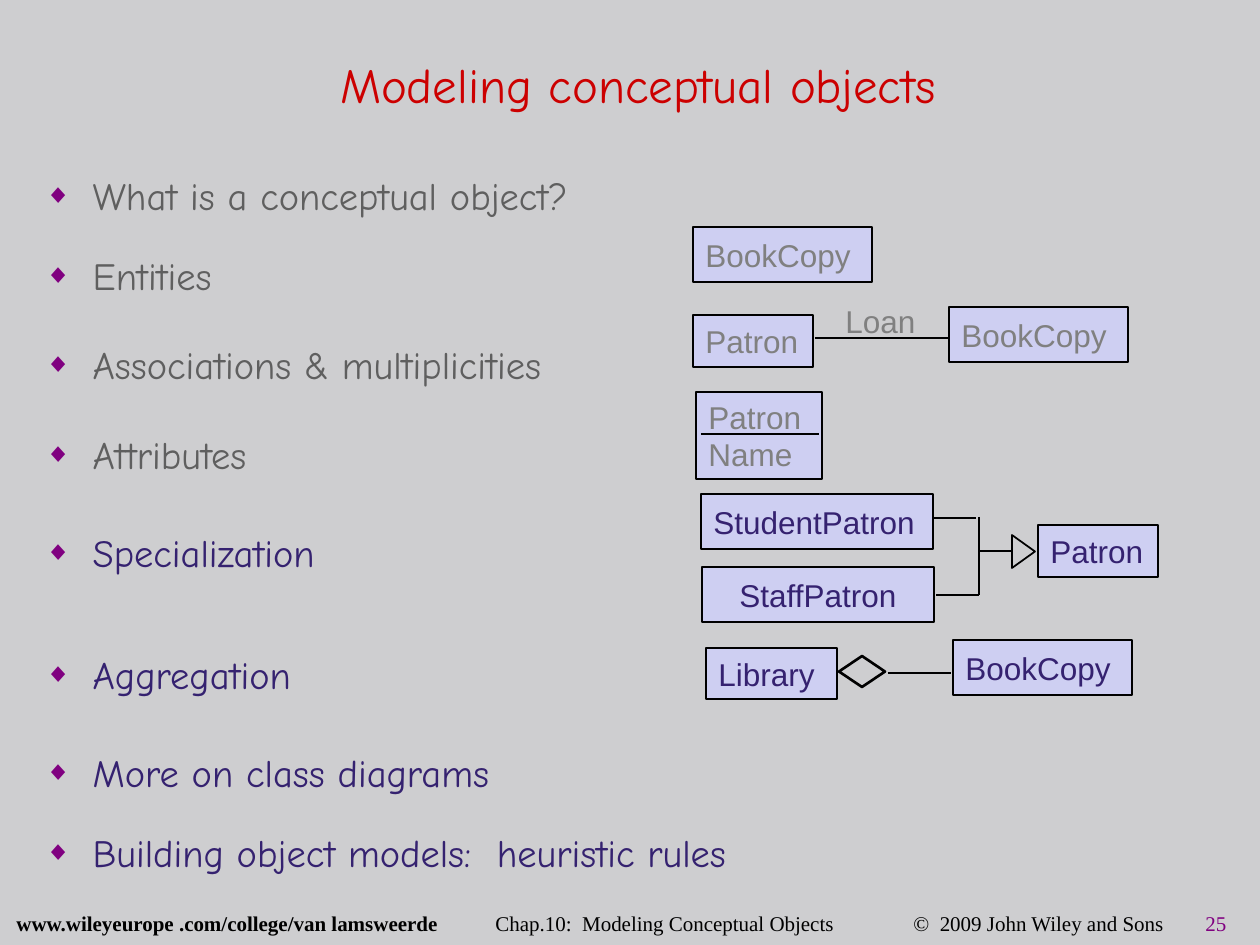
from lxml import etree
from pptx import Presentation
from pptx import util as u
from pptx.dml.color import RGBColor
from pptx.enum import shapes, text
from pptx.oxml import ns

PX = 914400 / 126
BACKDROP = RGBColor(0xCE, 0xCE, 0xD0)
BOX_FILL = RGBColor(0xCE, 0xCF, 0xF2)
BLACK = RGBColor(0, 0, 0)
RED = RGBColor(0xCC, 0, 0)
PURPLE = RGBColor(0x80, 0, 0x80)
INDIGO = RGBColor(0x35, 0x22, 0x70)
DIM = RGBColor(0x5F, 0x5F, 0x5F)
GREY = RGBColor(0x80, 0x80, 0x80)


def px(*lengths):
    """Turn pixel lengths into a list of EMU."""
    return [u.Emu(round(length * PX)) for length in lengths]


def write(paragraph, words, size=18, face="Arial", color=BLACK, bold=False):
    run = paragraph.add_run()
    run.text = words
    run.font.size = u.Pt(size)
    run.font.name = face
    run.font.color.rgb = color
    run.font.bold = bold


deck = Presentation()
deck.slide_width, deck.slide_height = px(1260, 945)
slide = deck.slides.add_slide(deck.slide_layouts[1])
slide.background.fill.solid()
slide.background.fill.fore_color.rgb = BACKDROP

# Title
title = slide.shapes.title
title.left, title.top, title.width, title.height = px(42, 32, 1192, 104)
title.text_frame.auto_size = text.MSO_AUTO_SIZE.NONE
title.text_frame.vertical_anchor = text.MSO_ANCHOR.MIDDLE
heading = title.text_frame.paragraphs[0]
heading.alignment = text.PP_ALIGN.CENTER
write(heading, "Modeling conceptual objects", size=28, face="Comic Neue", color=RED)

# Outline of topics: wording, line spacing, colour
topics = [
    ("What is a conceptual object?", 1.1, DIM),
    ("Entities", 1.4, DIM),
    ("Associations & multiplicities", 1.6, DIM),
    ("Attributes", 1.6, DIM),
    ("Specialization", 1.8, INDIGO),
    ("Aggregation", 2.3, INDIGO),
    ("More on class diagrams", 1.8, INDIGO),
    ("Building object models:  heuristic rules", 1.4, INDIGO),
]
outline = slide.placeholders[1]
outline.left, outline.top, outline.width, outline.height = px(32, 179, 782, 685)
outline.text_frame.auto_size = text.MSO_AUTO_SIZE.NONE
outline.text_frame.vertical_anchor = text.MSO_ANCHOR.MIDDLE
indent = px(48)[0]
for index, (topic, spacing, color) in enumerate(topics):
    frame = outline.text_frame
    item = frame.add_paragraph() if index else frame.paragraphs[0]
    item.line_spacing = spacing
    item.space_before = u.Pt(8.8 if index else 0)
    props = item._p.get_or_add_pPr()
    props.set("marL", str(indent))
    props.set("indent", str(-indent))
    bullet_color = etree.SubElement(props, ns.qn("a:buClr"))
    etree.SubElement(bullet_color, ns.qn("a:srgbClr"), val=str(PURPLE))
    etree.SubElement(props, ns.qn("a:buSzPct"), val="70000")
    etree.SubElement(props, ns.qn("a:buChar"), char="◆")
    write(item, topic, size=22, face="Comic Neue", color=color)

# Class boxes: lines of text, place, colour
LEFT, CENTER = text.PP_ALIGN.LEFT, text.PP_ALIGN.CENTER
classes = [
    (["BookCopy"], (693, 227, 179, 55), GREY, LEFT),
    (["Patron"], (693, 315, 120, 52), GREY, LEFT),
    (["BookCopy"], (949, 307, 179, 55), GREY, LEFT),
    (["Patron", "Name"], (696, 392, 126, 87), GREY, LEFT),
    (["Patron"], (1038, 525, 120, 52), INDIGO, LEFT),
    (["StudentPatron"], (701, 494, 232, 55), INDIGO, LEFT),
    (["StaffPatron"], (702, 567, 232, 55), INDIGO, CENTER),
    (["BookCopy"], (953, 640, 179, 55), INDIGO, LEFT),
    (["Library"], (706, 648, 131, 51), INDIGO, LEFT),
]
for labels, place, color, alignment in classes:
    box = slide.shapes.add_shape(shapes.MSO_SHAPE.RECTANGLE, *px(*place))
    box.shadow.inherit = False
    box.fill.solid()
    box.fill.fore_color.rgb = BOX_FILL
    box.line.color.rgb = BLACK
    box.line.width = u.Pt(0.75)
    frame = box.text_frame
    frame.word_wrap = True
    frame.vertical_anchor = text.MSO_ANCHOR.MIDDLE
    if alignment == LEFT:
        frame.margin_right = 0
    for index, label in enumerate(labels):
        row = frame.add_paragraph() if index else frame.paragraphs[0]
        row.alignment = alignment
        write(row, label, color=color)

# Inheritance triangle and aggregation diamond
symbols = [
    (shapes.MSO_SHAPE.ISOSCELES_TRIANGLE, (1007, 540, 33, 23), 90, 1),
    (shapes.MSO_SHAPE.FLOWCHART_DECISION, (839, 656, 46, 31), 180, 1.5),
]
for outline_kind, place, angle, weight in symbols:
    symbol = slide.shapes.add_shape(outline_kind, *px(*place))
    symbol.shadow.inherit = False
    symbol.rotation = angle
    symbol.fill.background()
    symbol.line.color.rgb = BLACK
    symbol.line.width = u.Pt(weight)

# Links between the classes: x1, y1, x2, y2, weight
links = [
    (815, 338, 949, 338, 0.75),
    (701, 434, 819, 434, 0.75),
    (1012, 551, 980, 551, 1),
    (979, 517, 979, 595, 0.75),
    (979, 595, 936, 595, 0.75),
    (976, 518, 934, 518, 0.75),
    (888, 673, 951, 673, 0.75),
]
for *ends, weight in links:
    link = slide.shapes.add_connector(shapes.MSO_CONNECTOR.STRAIGHT, *px(*ends))
    link.line.color.rgb = BLACK
    link.line.width = u.Pt(weight)
    etree.SubElement(link._element.spPr, ns.qn("a:effectLst"))

# Association name
loan = slide.shapes.add_textbox(*px(833, 295, 105, 52)).text_frame
loan.word_wrap = True
loan.vertical_anchor = text.MSO_ANCHOR.MIDDLE
write(loan.paragraphs[0], "Loan", color=GREY)

# Footer, spread by tab stops
footer = slide.shapes.add_textbox(*px(4, 911, 1256, 30)).text_frame
footer.word_wrap = True
credits = footer.paragraphs[0]
credits.line_spacing = 0.7
tab_list = etree.SubElement(credits._p.get_or_add_pPr(), ns.qn("a:tabLst"))
for stop in px(479, 897, 1189):
    etree.SubElement(tab_list, ns.qn("a:tab"), pos=str(stop), algn="l")
footer_parts = [
    ("www.wileyeurope .com/college/van lamsweerde", BLACK, True),
    ("\tChap.10:  Modeling Conceptual Objects", BLACK, False),
    ("\t©  2009 John Wiley and Sons", BLACK, False),
    ("\t25", PURPLE, False),
]
for words, color, bold in footer_parts:
    write(credits, words, size=12, face="Times New Roman", color=color, bold=bold)

deck.save("out.pptx")
